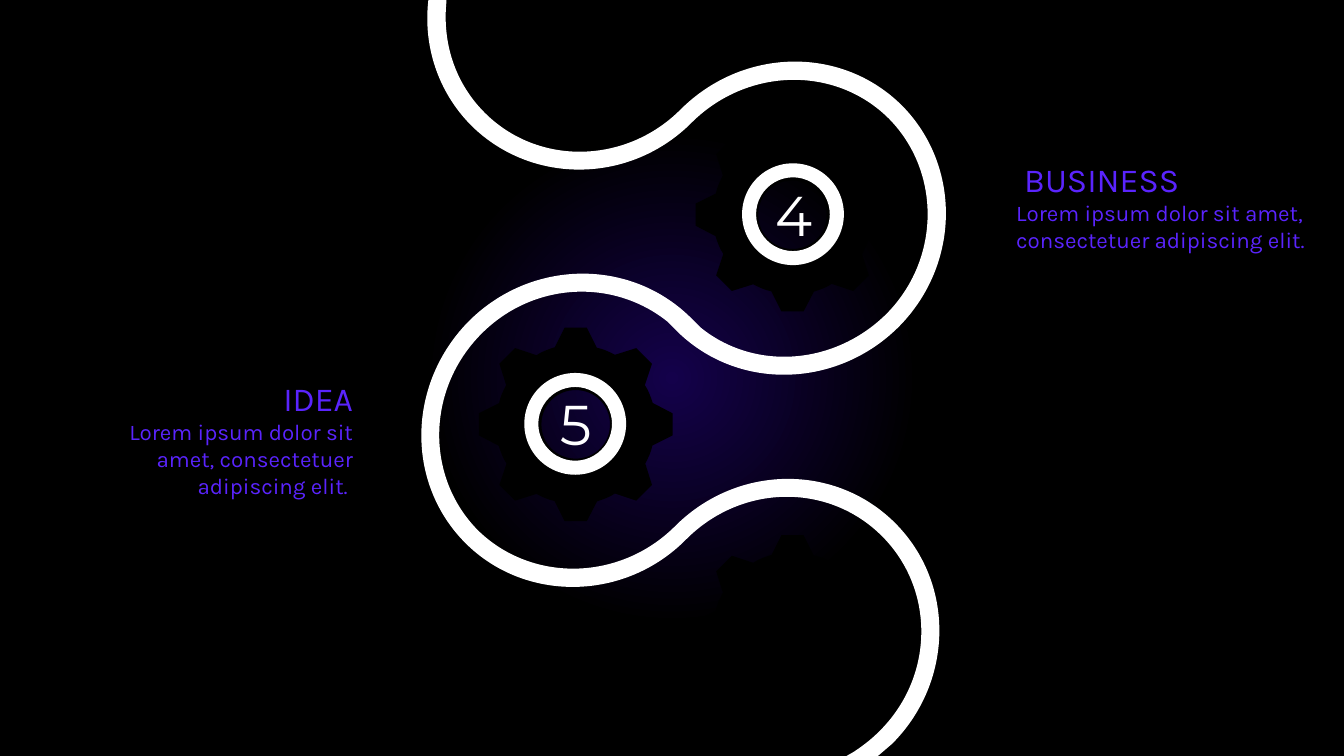
from math import cos, pi, sin

from lxml import etree
from pptx import Presentation
from pptx.dml.color import RGBColor
from pptx.enum.shapes import MSO_SHAPE
from pptx.enum.text import MSO_AUTO_SIZE, PP_ALIGN
from pptx.oxml.ns import qn
from pptx.util import Inches, Pt

BLACK = RGBColor(0x00, 0x00, 0x00)
WHITE = RGBColor(0xFF, 0xFF, 0xFF)
GLOW = RGBColor(0x14, 0x01, 0x4B)
VIOLET = RGBColor(0x5A, 0x24, 0xFD)
LEFT, CENTER, RIGHT = PP_ALIGN.LEFT, PP_ALIGN.CENTER, PP_ALIGN.RIGHT
DONUT = MSO_SHAPE.DONUT
GROW = MSO_AUTO_SIZE.SHAPE_TO_FIT_TEXT


def add_outline(page, contours, colour, center, turns=(0,), rotation=0):
    """Fill closed contours of lines (2 numbers) and curves (6), placed around a center.

    The last contour is repeated at each of the turns; rotation turns the whole shape.
    """
    builder, sizes = None, []
    for number, (start, segments) in enumerate(contours):
        points = []
        for turn in turns if number == len(contours) - 1 else (0,):
            for segment in segments:
                sizes.append(len(segment) // 2)
                points += [(x * cos(turn) - y * sin(turn), x * sin(turn) + y * cos(turn))
                           for x, y in zip(segment[::2], segment[1::2])]
        first, *others = [(Inches(center[0] + x), Inches(center[1] + y))
                          for x, y in [start] + points]
        if builder is None:
            builder = page.shapes.build_freeform(*first)
        else:
            builder.move_to(*first)
        builder.add_line_segments(others)
    shape = builder.convert_to_shape()
    # Join the three vertices of each curve into one Bezier step
    steps = iter(list(shape.element.iter(qn("a:lnTo"))))
    for size in sizes:
        step = next(steps)
        if size == 3:
            step.tag = qn("a:cubicBezTo")
            for vertex in (next(steps), next(steps)):
                step.append(vertex[0])
                vertex.getparent().remove(vertex)
    shape.rotation = rotation
    shape.shadow.inherit = False
    shape.fill.solid()
    shape.fill.fore_color.rgb = colour
    shape.line.fill.background()


def add_text(page, place, align, lines):
    """Add a text box with one paragraph for each (text, font, size, colour)."""
    box = page.shapes.add_textbox(*(Inches(length) for length in place))
    frame = box.text_frame
    frame.word_wrap = True
    frame.auto_size = GROW
    for index, (text, font, size, colour) in enumerate(lines):
        para = frame.add_paragraph() if index else frame.paragraphs[0]
        para.alignment = align
        span = para.add_run()
        span.text = text
        for name, value in {"name": font, "size": Pt(size)}.items():
            setattr(span.font, name, value)
        span.font.color.rgb = colour


deck = Presentation()
deck.slide_width, deck.slide_height = Inches(13.33), Inches(7.5)
page = deck.slides.add_slide(deck.slide_layouts[6])

# Background glow, round from the centre
fill = page.background.fill
fill.gradient()
for stop, position, colour in zip(fill.gradient_stops, (0, 0.32), (GLOW, BLACK)):
    stop.position = position
    stop.color.rgb = colour
gradient = page.element.find(".//" + qn("a:gradFill"))
gradient.remove(gradient.find(qn("a:lin")))
circle = etree.SubElement(gradient, qn("a:path"), path="circle")
etree.SubElement(circle, qn("a:fillToRect"), l="50000", t="50000", r="50000", b="50000")

# Winding road, drawn level around its center and then turned by 45 degrees
ROAD_CENTER = (6.9, 3.34)
ROAD = [
    (4.43, 0), (4.43, 0.02), (4.39, 0.42, 4.51, 0.82, 4.81, 1.12),
    (5.34, 1.65, 6.21, 1.63, 6.75, 1.09),
    (7.37, 0.47, 8.35, 0.45, 8.95, 1.05), (9.54, 1.65, 9.53, 2.63, 8.91, 3.25),
    (8.29, 3.86, 7.31, 3.88, 6.71, 3.28), (6.62, 3.19), (6.08, 2.76, 5.29, 2.8, 4.78, 3.31),
    (4.23, 3.86, 4.22, 4.73, 4.74, 5.26), (5.27, 5.78, 6.14, 5.77, 6.69, 5.23),
    (7.3, 4.61, 8.28, 4.59, 8.88, 5.19), (9.48, 5.79, 9.46, 6.77, 8.85, 7.38),
    (8.71, 7.5), (8.4, 7.5), (8.47, 7.46), (8.56, 7.4, 8.64, 7.34, 8.72, 7.26),
    (9.27, 6.72, 9.28, 5.85, 8.75, 5.32), (8.22, 4.79, 7.36, 4.8, 6.81, 5.35),
    (6.2, 5.97, 5.21, 5.98, 4.62, 5.39), (4.02, 4.79, 4.04, 3.81, 4.65, 3.19),
    (5.27, 2.57, 6.25, 2.56, 6.85, 3.15), (6.95, 3.25), (7.48, 3.68, 8.27, 3.63, 8.79, 3.12),
    (9.33, 2.58, 9.34, 1.71, 8.82, 1.18), (8.29, 0.65, 7.42, 0.67, 6.87, 1.21),
    (6.26, 1.83, 5.28, 1.84, 4.68, 1.25), (4.34, 0.91, 4.2, 0.45, 4.25, 0.01), (4.25, 0),
]
level_road = []
for segment in ROAD:
    level = []
    for x, y in zip(segment[::2], segment[1::2]):
        across, down = x - ROAD_CENTER[0], y - ROAD_CENTER[1]
        level += [(across + down) * cos(pi / 4), (down - across) * cos(pi / 4)]
    level_road.append(tuple(level))
add_outline(page, [(level_road[0], level_road[1:])], WHITE, ROAD_CENTER, rotation=45)

# Gears: a round hole, and one tooth turned eight times
HOLE = ((0, 0.34), [
    (-0.19, 0.34, -0.34, 0.19, -0.34, 0), (-0.34, -0.19, -0.19, -0.34, 0, -0.34),
    (0.19, -0.34, 0.34, -0.19, 0.34, 0), (0.34, 0.19, 0.19, 0.34, 0, 0.34),
])
TOOTH = ((-0.21, -0.76), [
    (-0.11, -0.96), (0.11, -0.96), (0.21, -0.76), (0.27, -0.75, 0.33, -0.72, 0.39, -0.69),
])
EIGHTHS = [k * pi / 4 for k in range(8)]
RING = 1.01
CAPTIONS = [
    ((0.66, 3.7, 2.94, 1.35), RIGHT, "IDEA",
     "Lorem ipsum dolor sit amet, consectetuer adipiscing elit. "),
    ((9.98, 1.53, 3.35, 1.35), LEFT, " BUSINESS",
     "Lorem ipsum dolor sit amet, consectetuer adipiscing elit."),
]
for center in ((7.86, 2.13), (5.71, 4.21)):
    add_outline(page, [HOLE, TOOTH], BLACK, center, EIGHTHS)

# Rings
for left, top in ((5.2, 3.7), (7.36, 1.62)):
    ring = page.shapes.add_shape(DONUT, Inches(left), Inches(top), Inches(RING), Inches(RING))
    ring.adjustments[0] = 0.138
    ring.shadow.inherit = False
    ring.fill.solid()
    ring.fill.fore_color.rgb = WHITE
    ring.line.fill.background()

# Captions
for place, align, heading, body in CAPTIONS:
    add_text(page, place, align, [(heading, "Karla", 24, VIOLET), (body, "Karla", 16, VIOLET)])

# Gears at the lower and upper edge
for center in ((7.86, 6.27), (5.71, 0)):
    add_outline(page, [HOLE, TOOTH], BLACK, center, EIGHTHS)

# Numbers in the rings
for number, left, top in (("4", 7.43, 1.74), ("5", 5.27, 3.82)):
    add_text(page, (left, top, 0.88, 0.77), CENTER, [(number, "Montserrat", 40, WHITE)])

deck.save("out.pptx")
